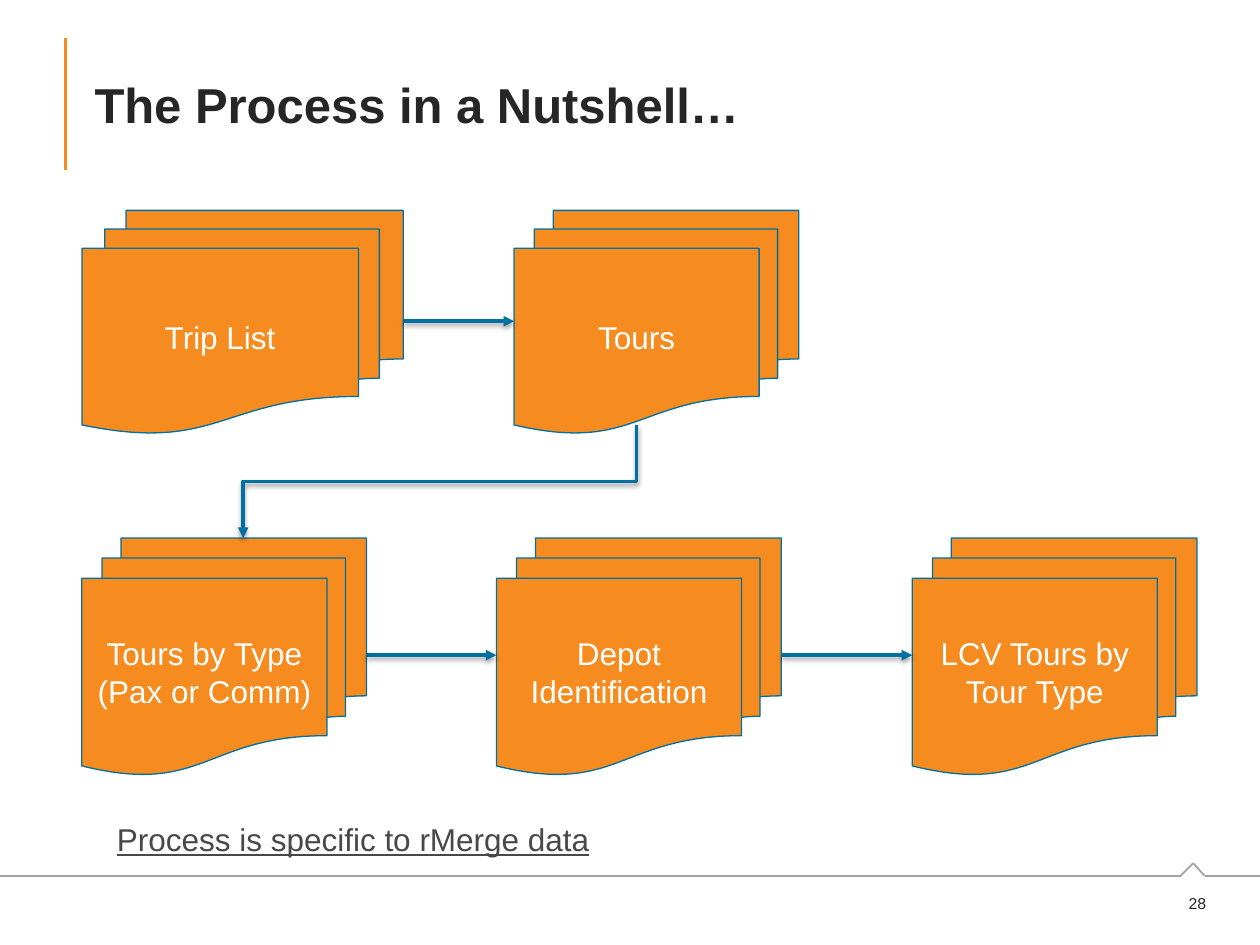
from itertools import pairwise

from lxml import etree
from pptx import Presentation
from pptx.dml.color import RGBColor
from pptx.enum import shapes, text
from pptx.oxml.ns import qn
from pptx.util import Inches, Pt

# Content: documents as (label lines, left, width) per row
TITLE = "The Process in a Nutshell…"
NOTE = "Process is specific to rMerge data"
PAGE_NUMBER = "28"
ROWS = [
    {"top": 1.67, "height": 1.77, "arrow_y": 2.55, "documents": [
        ("Trip List", 0.65, 2.55),
        ("Tours", 4.08, 2.26),
    ]},
    {"top": 4.27, "height": 1.88, "arrow_y": 5.2, "documents": [
        ("Tours by Type\n(Pax or Comm)", 0.65, 2.26),
        ("Depot Identification", 3.94, 2.26),
        ("LCV Tours by Tour Type", 7.24, 2.26),
    ]},
]
ROW_LINK = ((5.05, 3.37), (1.93, 4.27))
FOOTER_POINTS = [(0, 6.95), (9.37, 6.95), (9.47, 6.85), (9.56, 6.95), (10, 6.95)]

THEME = {
    "font": "Arial",
    "orange": "F68B1F", "blue": "006FA1", "gray": "A3A3A5",
    "dark": "262626", "note": "48484A", "white": "FFFFFF",
    "title_size": 28, "body_size": 18, "number_size": 9,
}


def color(name):
    return RGBColor.from_string(THEME[name])


def write(shape, content, size, color_name, align, bold=False, underline=False):
    frame = shape.text_frame
    frame.text = content
    for paragraph in frame.paragraphs:
        paragraph.alignment = align
        font = paragraph.font
        font.name, font.size = THEME["font"], Pt(THEME[size])
        font.bold, font.underline = bold, underline
        font.color.rgb = color(color_name)
    return frame


def add_line(slide, start, end, color_name, width, kind=shapes.MSO_CONNECTOR.STRAIGHT):
    line = slide.shapes.add_connector(kind, *map(Inches, (*start, *end)))
    line.line.color.rgb = color(color_name)
    line.line.width = Pt(width)
    effects = etree.SubElement(line._element.spPr, qn("a:effectLst"))
    return line, effects


def add_arrow(slide, start, end):
    arrow, effects = add_line(slide, start, end, "blue", 2, shapes.MSO_CONNECTOR.ELBOW)
    etree.SubElement(arrow.line._get_or_add_ln(), qn("a:tailEnd"), type="triangle")
    shadow = etree.SubElement(effects, qn("a:outerShdw"), blurRad=str(Pt(3.1)),
                              dist=str(Pt(1.6)), dir="5400000", rotWithShape="0")
    black = etree.SubElement(shadow, qn("a:srgbClr"), val="000000")
    etree.SubElement(black, qn("a:alpha"), val="38000")
    return arrow


def add_down_arrow(slide, start, end):
    """Elbow that leaves downward: a quarter turn about the midpoint."""
    (x1, y1), (x2, y2) = start, end
    middle_x, middle_y = (x1 + x2) / 2, (y1 + y2) / 2
    half_width, half_height = (y2 - y1) / 2, (x1 - x2) / 2
    arrow = add_arrow(slide, (middle_x - half_width, middle_y - half_height),
                      (middle_x + half_width, middle_y + half_height))
    arrow._element.spPr.find(qn("a:xfrm")).set("rot", "5400000")


def add_document(slide, label, left, top, width, height):
    shape = slide.shapes.add_shape(shapes.MSO_SHAPE.FLOWCHART_MULTIDOCUMENT,
                                   *map(Inches, (left, top, width, height)))
    shape.shadow.inherit = False
    shape.fill.solid()
    shape.fill.fore_color.rgb = color("orange")
    shape.line.color.rgb = color("blue")
    shape.line.width = Pt(0.75)
    frame = write(shape, label, "body_size", "white", text.PP_ALIGN.CENTER)
    frame.word_wrap = True
    frame.vertical_anchor = text.MSO_ANCHOR.MIDDLE


def main():
    presentation = Presentation()
    presentation.slide_width, presentation.slide_height = Inches(10), Inches(7.5)
    slide = presentation.slides.add_slide(presentation.slide_layouts[5])

    # Title with accent rule
    title = slide.shapes.title
    title.left, title.top, title.width, title.height = map(Inches, (0.65, 0.3, 8.85, 1.05))
    frame = write(title, TITLE, "title_size", "dark", text.PP_ALIGN.LEFT, bold=True)
    frame.vertical_anchor = text.MSO_ANCHOR.MIDDLE
    frame.auto_size = text.MSO_AUTO_SIZE.NONE
    add_line(slide, (0.52, 0.3), (0.52, 1.35), "orange", 1.5)

    # Footer rule with notch, and page number
    for start, end in pairwise(FOOTER_POINTS):
        add_line(slide, start, end, "gray", 1)
    number = slide.shapes.add_textbox(*map(Inches, (9.25, 7.04, 0.42, 0.25)))
    frame = write(number, PAGE_NUMBER, "number_size", "dark", text.PP_ALIGN.RIGHT)
    frame.word_wrap = True
    frame.vertical_anchor = text.MSO_ANCHOR.MIDDLE

    # Documents, with arrows between neighbours in each row
    for row in ROWS:
        for label, left, width in row["documents"]:
            add_document(slide, label, left, row["top"], width, row["height"])
        for (_, left, width), (_, next_left, _) in pairwise(row["documents"]):
            add_arrow(slide, (left + width, row["arrow_y"]), (next_left, row["arrow_y"]))
    add_down_arrow(slide, *ROW_LINK)

    # Note
    note = slide.shapes.add_textbox(*map(Inches, (0.83, 6.46, 4.06, 0.4)))
    frame = write(note, NOTE, "body_size", "note", text.PP_ALIGN.LEFT, underline=True)
    frame.word_wrap = False

    presentation.save("out.pptx")


if __name__ == "__main__":
    main()
